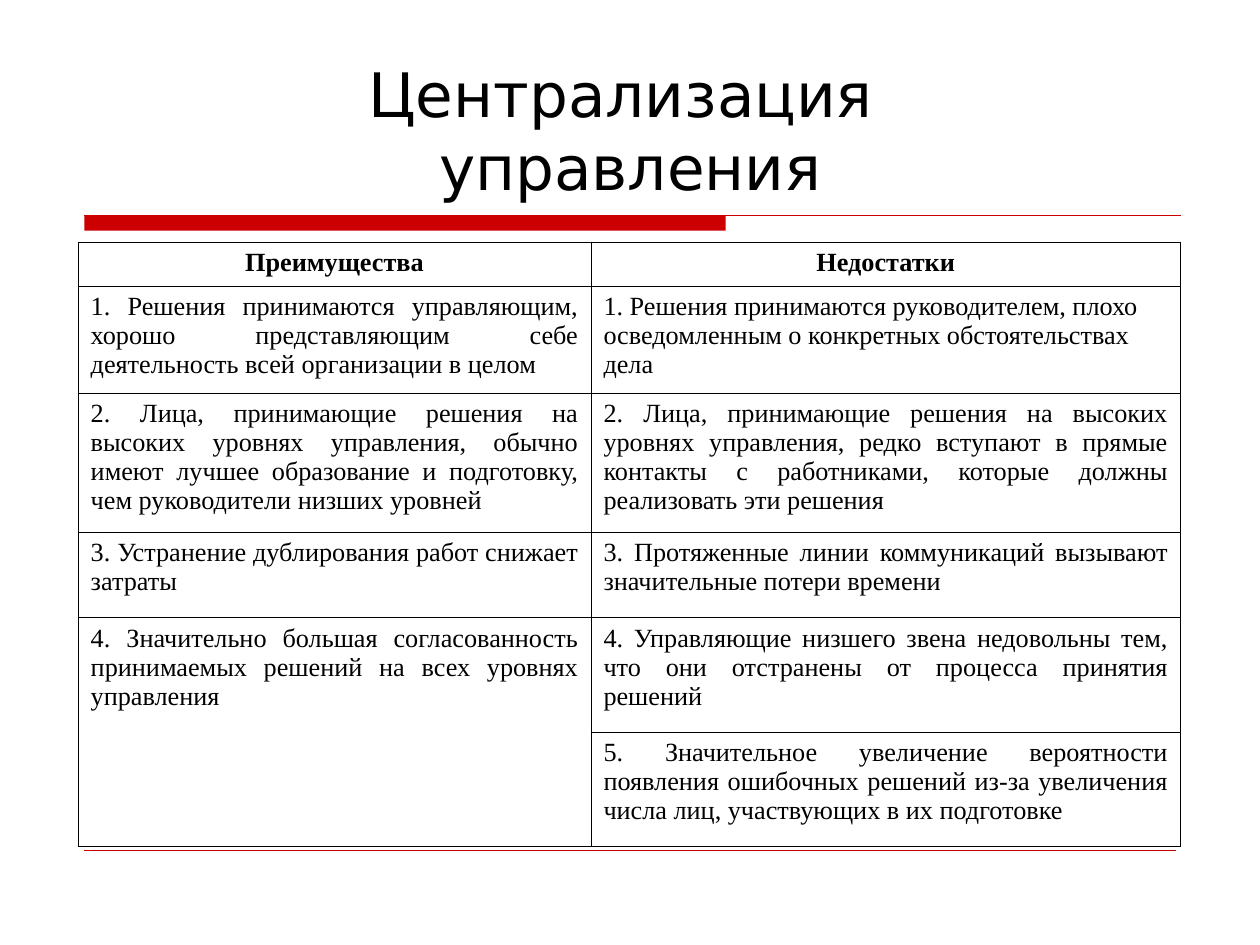
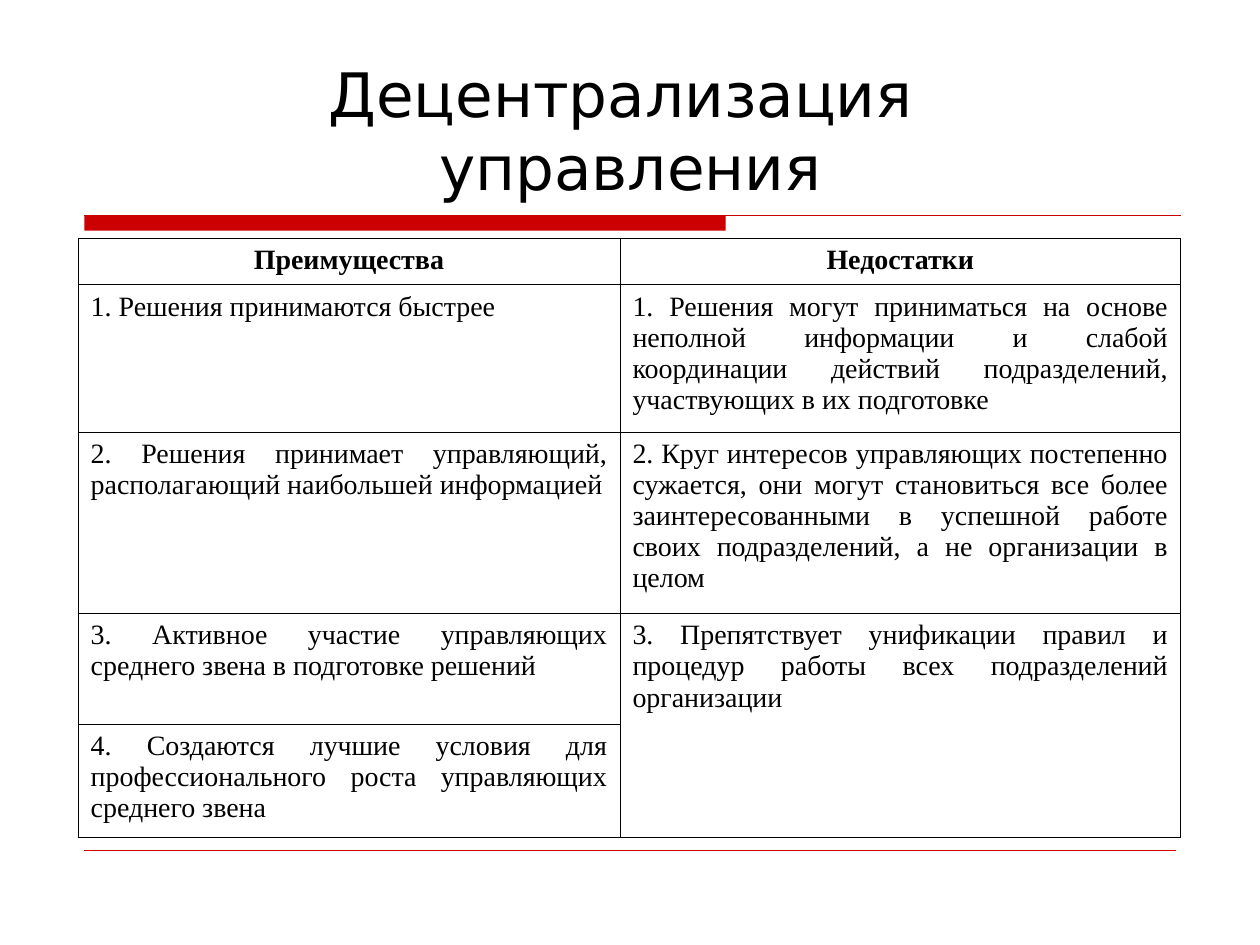
from lxml import etree
from pptx import Presentation
from pptx import util as u
from pptx.dml.color import RGBColor
from pptx.enum import shapes, text
from pptx.oxml import ns

RED = RGBColor(0xCC, 0x00, 0x00)
BLACK = RGBColor(0x00, 0x00, 0x00)
TITLE_FONT = "DejaVu Sans"
TABLE_FONT = "Times New Roman"
BORDER_WIDTH = 0.45
LEFT, CENTER, JUSTIFY = (
    text.PP_ALIGN.LEFT, text.PP_ALIGN.CENTER, text.PP_ALIGN.JUSTIFY)

HEADINGS = ("Преимущества", "Недостатки")

# None marks a cell that the one above it extends into.
CENTRALIZATION = [
    ("1. Решения принимаются управляющим, хорошо представляющим себе "
     "деятельность всей организации в целом",
     "1. Решения принимаются руководителем, плохо осведомленным о конкретных "
     "обстоятельствах дела"),
    ("2. Лица, принимающие решения на высоких уровнях управления, обычно имеют "
     "лучшее образование и подготовку, чем руководители низших уровней",
     "2. Лица, принимающие решения на высоких уровнях управления, редко "
     "вступают в прямые контакты с работниками, которые должны реализовать "
     "эти решения"),
    ("3. Устранение дублирования работ снижает затраты",
     "3. Протяженные линии коммуникаций вызывают значительные потери времени"),
    ("4. Значительно большая согласованность принимаемых решений на всех "
     "уровнях управления",
     "4. Управляющие низшего звена недовольны тем, что они отстранены от "
     "процесса принятия решений"),
    (None,
     "5. Значительное увеличение вероятности появления ошибочных решений из-за "
     "увеличения числа лиц, участвующих в их подготовке"),
]
DECENTRALIZATION = [
    ("1. Решения принимаются быстрее",
     "1. Решения могут приниматься на основе неполной информации и слабой "
     "координации действий подразделений, участвующих в их подготовке"),
    ("2. Решения принимает управляющий, располагающий наибольшей информацией",
     "2. Круг интересов управляющих постепенно сужается, они могут становиться "
     "все более заинтересованными в успешной работе своих подразделений, а не "
     "организации в целом"),
    ("3. Активное участие управляющих среднего звена в подготовке решений",
     "3. Препятствует унификации правил и процедур работы всех подразделений "
     "организации"),
    ("4. Создаются лучшие условия для профессионального роста управляющих "
     "среднего звена",
     None),
]


class Deck:
    """Holds the shared style and the slide being filled."""

    def __init__(self):
        self.presentation = Presentation()
        self.presentation.slide_width = u.Inches(10)
        self.presentation.slide_height = u.Inches(7.5)
        self.slide = None

    def add_slide(self, title):
        layout = self.presentation.slide_layouts[6]
        self.slide = self.presentation.slides.add_slide(layout)
        self.add_band(0.67, 1.71, 5.09, 0.12)
        self.add_rule(0.67, 9.37, 1.71, 0.75)
        self.add_rule(0.67, 9.33, 6.75, 0.25)
        self.add_title(title)

    def add_band(self, left, top, width, height):
        band = self.slide.shapes.add_shape(
            shapes.MSO_SHAPE.RECTANGLE,
            *map(u.Inches, (left, top, width, height)))
        band.shadow.inherit = False
        band.fill.solid()
        band.fill.fore_color.rgb = RED
        band.line.fill.background()

    def add_rule(self, left, right, top, weight):
        rule = self.slide.shapes.add_connector(
            shapes.MSO_CONNECTOR.STRAIGHT,
            *map(u.Inches, (left, top, right, top)))
        rule.line.color.rgb = RED
        rule.line.width = u.Pt(weight)
        etree.SubElement(rule._element.spPr, ns.qn("a:effectLst"))

    def add_title(self, title):
        box = self.slide.shapes.add_textbox(
            *map(u.Inches, (0.63, 0.33, 8.75, 1.33)))
        frame = box.text_frame
        frame.word_wrap = True
        frame.vertical_anchor = text.MSO_ANCHOR.BOTTOM
        self.set_text(frame, title, CENTER, name=TITLE_FONT, size=u.Pt(35))

    def set_text(self, frame, content, alignment, **font_format):
        paragraph = frame.paragraphs[0]
        paragraph.text = content
        paragraph.alignment = alignment
        for run in paragraph.runs:
            run.font.color.rgb = BLACK
            for name, value in font_format.items():
                setattr(run.font, name, value)

    def add_table(self, top, widths, heights, rows, size, left_aligned=()):
        """Draw headings and rows; left_aligned lists (row, column) not justified."""
        rows = [HEADINGS, *rows]
        table = self.slide.shapes.add_table(
            len(rows), len(widths),
            *map(u.Inches, (0.62, top, sum(widths), sum(heights)))).table
        table.first_row = table.horz_banding = False
        for column, width in zip(table.columns, widths):
            column.width = u.Inches(width)
        for row, height in zip(table.rows, heights):
            row.height = u.Inches(height)
        for row, contents in enumerate(rows):
            for column, content in enumerate(contents):
                cell = table.cell(row, column)
                self.add_borders(cell)
                cell.fill.background()
                if content is None:
                    table.cell(row - 1, column).merge(cell)
                    continue
                if row == 0:
                    alignment = CENTER
                else:
                    alignment = LEFT if (row, column) in left_aligned else JUSTIFY
                self.set_text(cell.text_frame, content, alignment,
                              name=TABLE_FONT, size=u.Pt(size), bold=row == 0)

    def add_borders(self, cell):
        properties = cell._tc.get_or_add_tcPr()
        for side in ("lnL", "lnR", "lnT", "lnB"):
            line = etree.SubElement(properties, ns.qn(f"a:{side}"),
                                    w=str(u.Pt(BORDER_WIDTH)))
            fill = etree.SubElement(line, ns.qn("a:solidFill"))
            etree.SubElement(fill, ns.qn("a:srgbClr"), val=str(BLACK))


def main():
    deck = Deck()
    deck.add_slide("Централизация \vуправления")
    deck.add_table(1.92, (4.07, 4.68), (0.35, 0.85, 1.1, 0.68, 0.91, 0.91),
                   CENTRALIZATION, 15, left_aligned=[(1, 1)])
    deck.add_slide("Децентрализация \vуправления")
    deck.add_table(1.89, (4.3, 4.45), (0.37, 1.17, 1.44, 0.88, 0.9),
                   DECENTRALIZATION, 16)
    deck.presentation.save("out.pptx")


if __name__ == "__main__":
    main()
